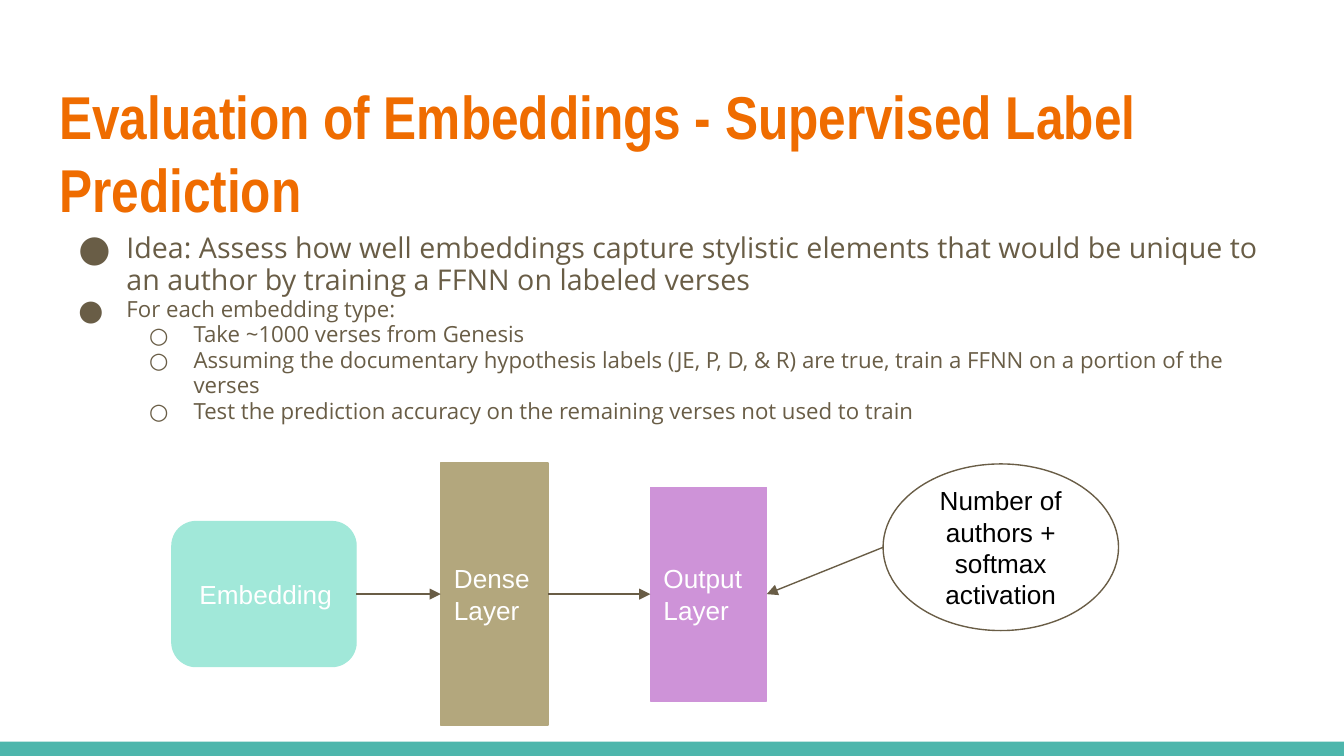
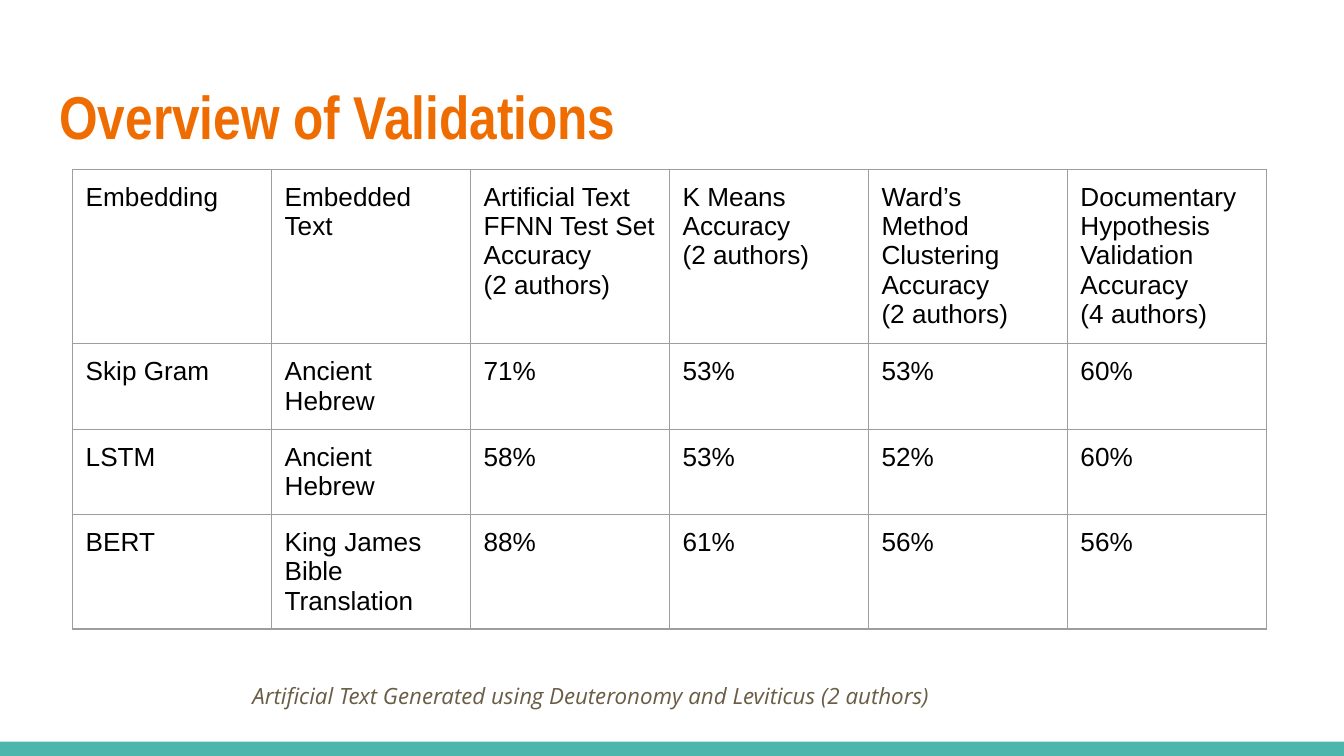
from lxml import etree
from pptx import Presentation
from pptx import util as u
from pptx.dml.color import RGBColor
from pptx.enum import shapes, text
from pptx.oxml.ns import qn
from pptx.util import Cm, Pt

ORANGE = RGBColor(0xEF, 0x6C, 0x00)
TEAL = RGBColor(0x4D, 0xB6, 0xAC)
BROWN = RGBColor(0x69, 0x5D, 0x46)
MINT = RGBColor(0xA1, 0xE8, 0xD9)
SAND = RGBColor(0xB3, 0xA7, 0x7D)
LILAC = RGBColor(0xCE, 0x93, 0xD8)
GREY = RGBColor(0x9E, 0x9E, 0x9E)
WHITE = RGBColor(0xFF, 0xFF, 0xFF)
BLACK = RGBColor(0, 0, 0)

TITLE_FONT, BODY_FONT, PLAIN_FONT = "Arial Narrow", "Open Sans", "Arial"
INSET = Cm(0.25)
THIN = Pt(0.75)
FLOW_Y = 11.23  # centre line of the network diagram, cm

BULLETS = [  # level, size, text
    (0, 15.3, "Idea: Assess how well embeddings capture stylistic elements that "
              "would be unique to an author by training a FFNN on labeled verses"),
    (0, 11.9, "For each embedding type:"),
    (1, 11.9, "Take ~1000 verses from Genesis"),
    (1, 11.9, "Assuming the documentary hypothesis labels (JE, P, D, & R) are true, "
              "train a FFNN on a portion of the verses"),
    (1, 11.9, "Test the prediction accuracy on the remaining verses not used to train"),
]
BULLET_STYLES = [  # left margin, hanging indent, size in percent, symbol
    (Cm(1.27), Cm(-0.91), 129, "●"),
    (Cm(2.54), Cm(-0.84), 100, "○"),
]

RESULTS = [
    ["Embedding", "Embedded Text",
     "Artificial Text FFNN Test Set Accuracy\n(2 authors)",
     "K Means Accuracy\n(2 authors)",
     "Ward’s Method Clustering Accuracy\n(2 authors)",
     "Documentary Hypothesis Validation Accuracy\n(4 authors)"],
    ["Skip Gram", "Ancient Hebrew", "71%", "53%", "53%", "60%"],
    ["LSTM", "Ancient Hebrew", "58%", "53%", "52%", "60%"],
    ["BERT", "King James Bible Translation", "88%", "61%", "56%", "56%"],
]
ROW_HEIGHTS = [3.3, 1.6, 1.6, 2.16]
COL_WIDTH = 3.76


def write(p, content, size=14, font=PLAIN_FONT, color=BLACK, bold=False,
          italic=False, align=text.PP_ALIGN.LEFT, spacing=1.0, after=0):
    p.alignment = align
    p.line_spacing = spacing
    p.space_before, p.space_after = Pt(0), Pt(after)
    r = p.add_run()
    r.text = content
    r.font.size, r.font.name = Pt(size), font
    r.font.bold, r.font.italic = bold, italic
    r.font.color.rgb = color


def set_frame(tf, anchor=text.MSO_ANCHOR.TOP):
    tf.word_wrap = True
    tf.auto_size = text.MSO_AUTO_SIZE.NONE
    tf.vertical_anchor = anchor
    tf.margin_left = tf.margin_right = tf.margin_top = tf.margin_bottom = INSET


def add_text_box(s, x, y, w, h):
    tf = s.shapes.add_textbox(Cm(x), Cm(y), Cm(w), Cm(h)).text_frame
    set_frame(tf)
    return tf


def add_block(parent, kind, x, y, w, h, fill, line=None):
    sp = parent.add_shape(kind, Cm(x), Cm(y), Cm(w), Cm(h))
    sp.shadow.inherit = False
    sp.fill.solid()
    sp.fill.fore_color.rgb = fill
    if line is None:
        sp.line.fill.background()
    else:
        sp.line.color.rgb = line
        sp.line.width = THIN
    return sp


def add_node(parent, kind, label, x, y, w, h, fill, line, **fmt):
    sp = add_block(parent, kind, x, y, w, h, fill, line)
    set_frame(sp.text_frame, text.MSO_ANCHOR.MIDDLE)
    write(sp.text_frame.paragraphs[0], label, **fmt)
    return sp


def add_arrow(parent, start, end):
    """Join the side of one shape to the side of another; each is an (x, y) pair."""
    cxn = parent.add_connector(shapes.MSO_CONNECTOR.STRAIGHT, *start, *end)
    cxn.line.color.rgb = BROWN
    cxn.line.width = THIN
    etree.SubElement(cxn.line._get_or_add_ln(), qn("a:tailEnd"), type="triangle")
    etree.SubElement(cxn._element.spPr, qn("a:effectLst"))


def left_side(sp):
    return sp.left, sp.top + sp.height // 2


def right_side(sp):
    return sp.left + sp.width, sp.top + sp.height // 2


def set_bullet(p, level):
    margin, indent, percent, symbol = BULLET_STYLES[level]
    p.level = level
    pPr = p._p.get_or_add_pPr()
    pPr.set("marL", str(margin))
    pPr.set("indent", str(indent))
    color = etree.SubElement(pPr, qn("a:buClr"))
    etree.SubElement(color, qn("a:srgbClr"), val=str(BROWN))
    etree.SubElement(pPr, qn("a:buSzPct"), val=str(percent * 1000))
    etree.SubElement(pPr, qn("a:buFont"), typeface=BODY_FONT)
    etree.SubElement(pPr, qn("a:buChar"), char=symbol)


def set_borders(cell):
    tcPr = cell._tc.get_or_add_tcPr()
    for i, side in enumerate(("lnL", "lnR", "lnT", "lnB")):
        ln = etree.Element(qn(f"a:{side}"), w=str(THIN))
        fill = etree.SubElement(ln, qn("a:solidFill"))
        etree.SubElement(fill, qn("a:srgbClr"), val=str(GREY))
        tcPr.insert(i, ln)


def add_results_table(s, x, y):
    rows, cols = len(RESULTS), len(RESULTS[0])
    table = s.shapes.add_table(rows, cols, Cm(x), Cm(y), Cm(cols * COL_WIDTH),
                               Cm(sum(ROW_HEIGHTS))).table
    table.first_row = table.horz_banding = False
    for col in table.columns:
        col.width = Cm(COL_WIDTH)
    for row, height, values in zip(table.rows, ROW_HEIGHTS, RESULTS):
        row.height = Cm(height)
        for cell, value in zip(row.cells, values):
            cell.fill.background()
            set_borders(cell)
            cell.margin_left = cell.margin_right = INSET
            cell.margin_top = cell.margin_bottom = INSET
            tf = cell.text_frame
            for i, line in enumerate(value.split("\n")):
                write(tf.add_paragraph() if i else tf.paragraphs[0], line)


def add_slide(prs, title):
    """Add a slide with the shared bottom band and title style."""
    s = prs.slides.add_slide(prs.slide_layouts[5])
    add_block(s.shapes, shapes.MSO_SHAPE.RECTANGLE, 0, 14.02, 25.4, 0.27, TEAL)
    sp = s.shapes.title
    sp.left, sp.top, sp.width, sp.height = Cm(0.87), Cm(1.25), Cm(23.67), Cm(1.95)
    set_frame(sp.text_frame)
    write(sp.text_frame.paragraphs[0], title, size=32.4, font=TITLE_FONT,
          color=ORANGE, bold=True)
    return s


def add_network(s):
    group = s.shapes.add_group_shape().shapes
    kinds = shapes.MSO_SHAPE
    layers = [
        add_node(group, kind, label, x, FLOW_Y - h / 2, w, h, fill, fill, color=WHITE)
        for kind, label, x, w, h, fill in (
            (kinds.ROUNDED_RECTANGLE, " Embedding", 3.25, 3.48, 2.74, MINT),
            (kinds.RECTANGLE, "Dense Layer", 8.33, 2.03, 4.95, SAND),
            (kinds.RECTANGLE, "Output Layer", 12.29, 2.2, 4.04, LILAC),
        )
    ]
    for source, target in zip(layers, layers[1:]):
        add_arrow(group, right_side(source), left_side(target))
    note = add_node(group, kinds.OVAL, "Number of authors + softmax activation",
                    16.69, 8.77, 4.45, 3.15, WHITE, BROWN,
                    align=text.PP_ALIGN.CENTER)
    add_arrow(group, left_side(note), right_side(layers[-1]))


def build_evaluation(prs):
    s = add_slide(prs, "Evaluation of Embeddings - Supervised Label Prediction")
    tf = add_text_box(s, 0.87, 4.14, 23.8, 4.42)
    for i, (level, size, content) in enumerate(BULLETS):
        p = tf.add_paragraph() if i else tf.paragraphs[0]
        write(p, content, size=size, font=BODY_FONT, color=BROWN, spacing=0.95)
        set_bullet(p, level)
    add_network(s)


def build_overview(prs):
    s = add_slide(prs, "Overview of Validations")
    add_results_table(s, 1.37, 3.2)
    tf = add_text_box(s, 4.52, 12.57, 16.26, 1.02)
    write(tf.paragraphs[0],
          "Artificial Text Generated using Deuteronomy and Leviticus (2 authors)",
          size=12, font=BODY_FONT, color=BROWN, italic=True, spacing=1.15, after=12)


def main():
    prs = Presentation()
    prs.slide_width, prs.slide_height = u.Cm(25.4), u.Cm(14.29)
    build_evaluation(prs)
    build_overview(prs)
    prs.save("out.pptx")


if __name__ == "__main__":
    main()
